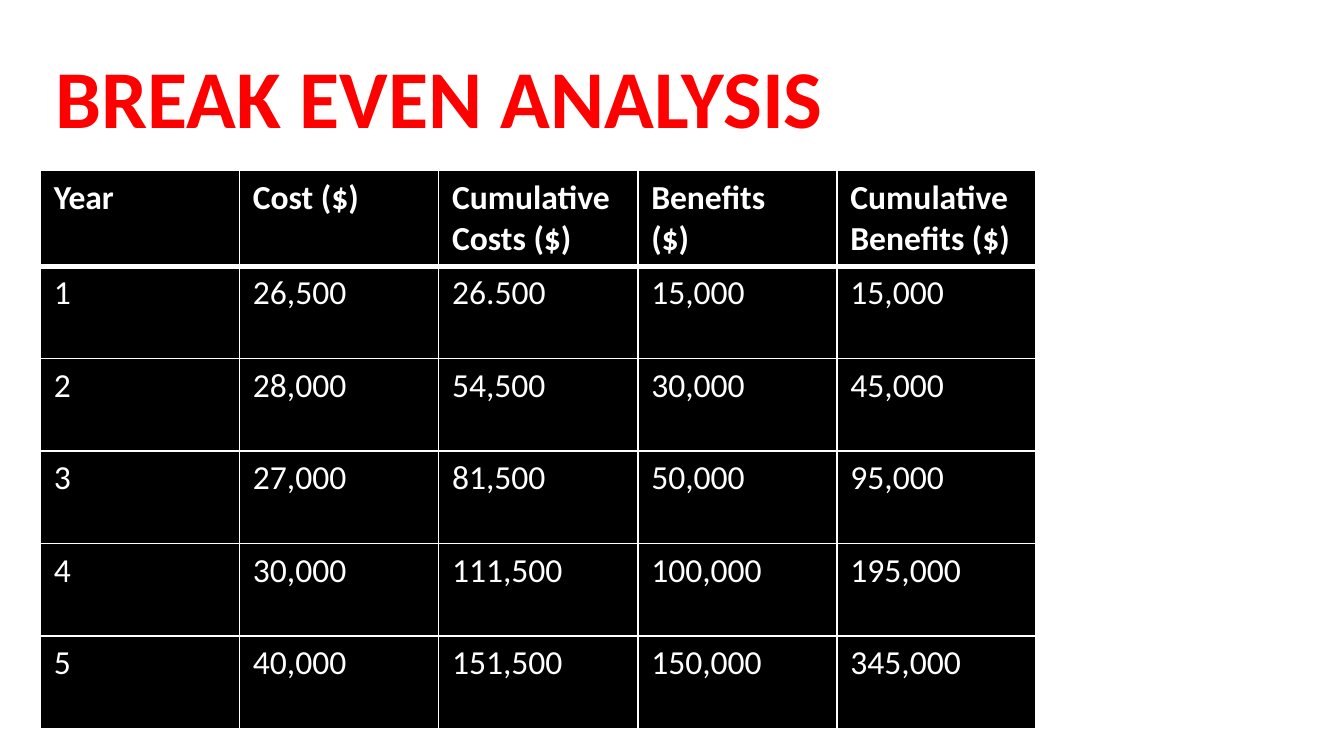
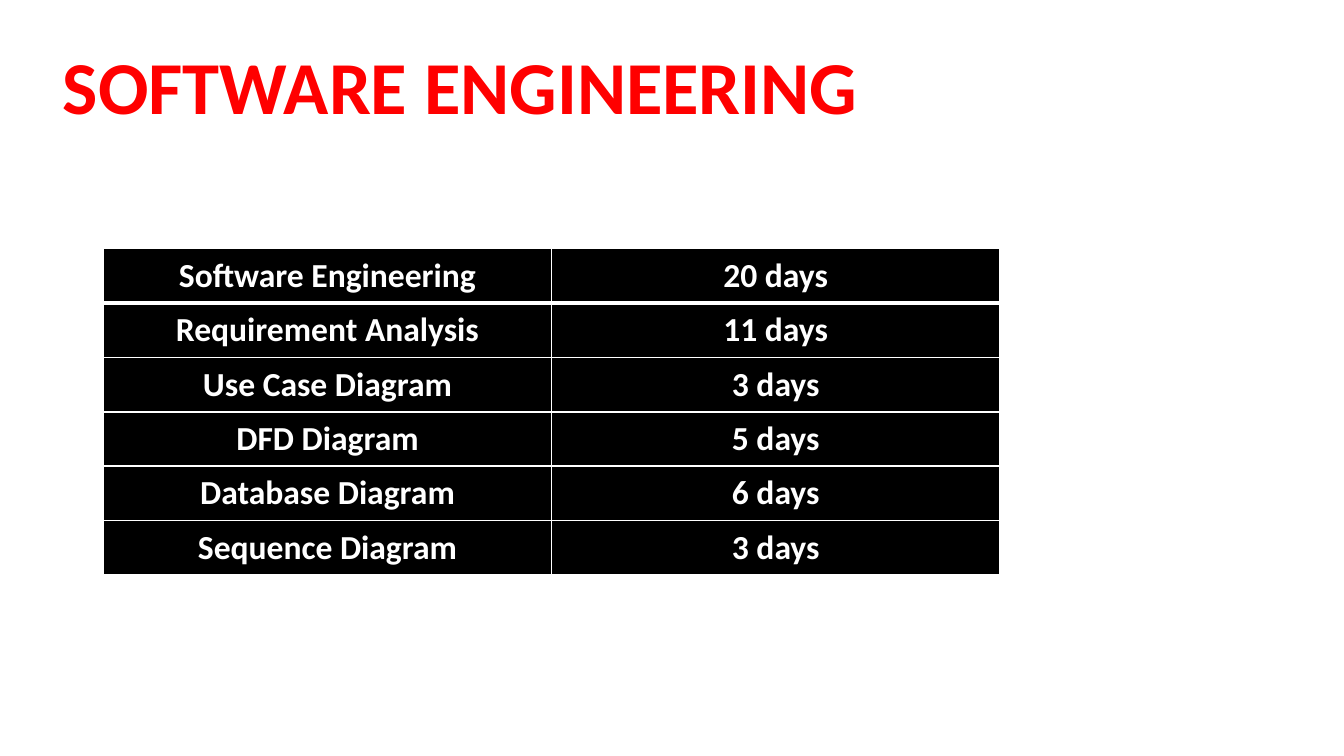
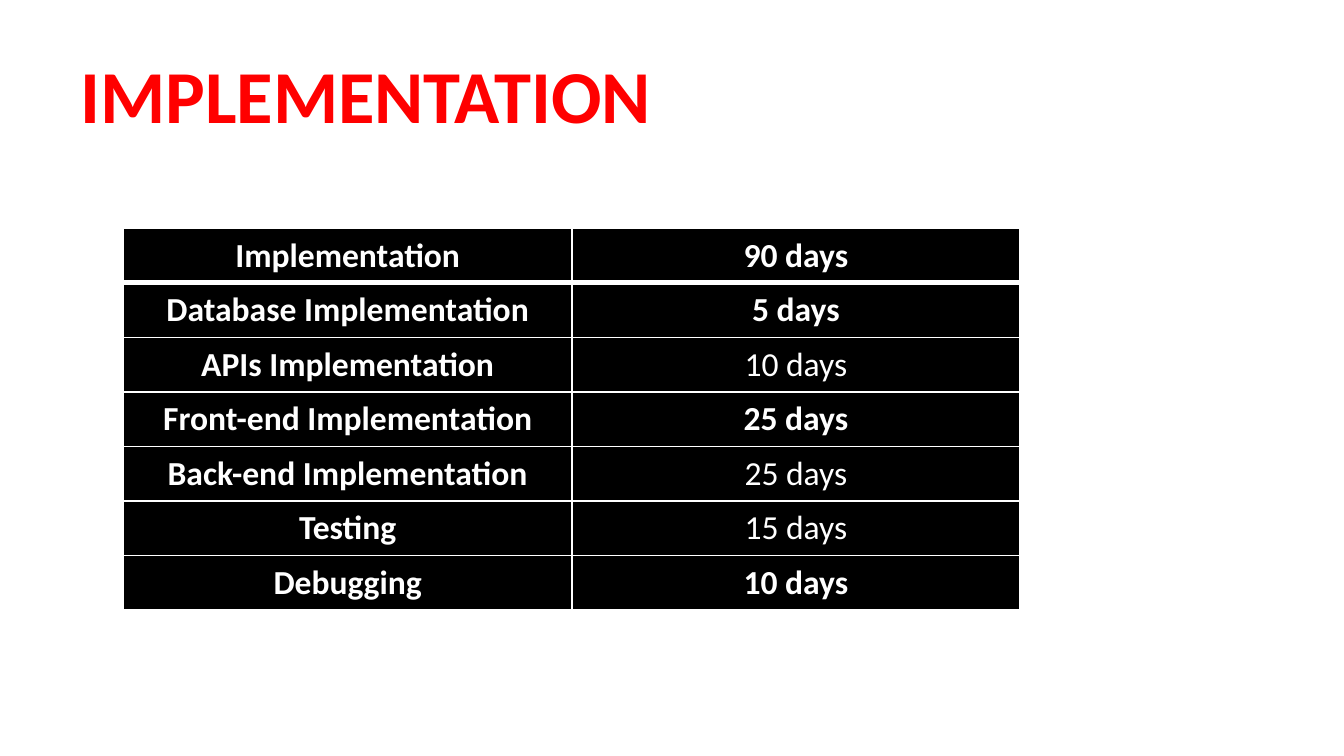
import itertools
from dataclasses import dataclass

import pptx
import pptx.dml.color
import pptx.enum.text
import pptx.oxml.ns
import pptx.slide
import pptx.table
import pptx.util
from lxml import etree

Align = pptx.enum.text.PP_ALIGN
Anchor = pptx.enum.text.MSO_ANCHOR
AutoSize = pptx.enum.text.MSO_AUTO_SIZE

# Shared look
RED = pptx.dml.color.RGBColor(0xFF, 0x00, 0x00)
BLACK = pptx.dml.color.RGBColor(0x00, 0x00, 0x00)
WHITE = pptx.dml.color.RGBColor(0xFF, 0xFF, 0xFF)
TITLE_FORMAT = {"name": "Calibri", "bold": True}
CELL_FORMAT = {"name": "Calibri", "size": pptx.util.Pt(18)}
THIN, THICK = 1, 3  # rule widths in points

SLIDE_WIDTH = pptx.util.Inches(10)
SLIDE_HEIGHT = SLIDE_WIDTH * 9 // 16


@dataclass(frozen=True)
class Area:
    """A rectangle in percent of the slide's width and height."""
    left: float
    top: float
    width: float
    height: float

    def lengths(self) -> tuple[int, int, int, int]:
        return (round(self.left * SLIDE_WIDTH / 100), round(self.top * SLIDE_HEIGHT / 100),
                round(self.width * SLIDE_WIDTH / 100), round(self.height * SLIDE_HEIGHT / 100))


@dataclass(frozen=True)
class Title:
    text: str
    area: Area
    size: int = 40
    align: Align = Align.LEFT
    anchor: Anchor = Anchor.MIDDLE
    auto_size: AutoSize = AutoSize.NONE


@dataclass(frozen=True)
class Schedule:
    rows: list[tuple[str, ...]]
    area: Area
    align: Align = Align.CENTER
    regular: frozenset[tuple[int, int]] = frozenset()  # (row, column) of cells that are not bold


@dataclass(frozen=True)
class Page:
    title: Title
    schedule: Schedule


# Content
BREAK_EVEN = [
    ("Year", "Cost ($)", "Cumulative Costs ($)", "Benefits\n($)", "Cumulative Benefits ($)"),
    ("1", "26,500", "26.500", "15,000", "15,000"),
    ("2", "28,000", "54,500", "30,000", "45,000"),
    ("3", "27,000", "81,500", "50,000", "95,000"),
    ("4", "30,000", "111,500", "100,000", "195,000"),
    ("5", "40,000", "151,500", "150,000", "345,000"),
]
ENGINEERING = [
    ("Software Engineering", "20 days"),
    ("Requirement Analysis", "11 days"),
    ("Use Case Diagram", "3 days"),
    ("DFD Diagram", "5 days"),
    ("Database Diagram", "6 days"),
    ("Sequence Diagram", "3 days"),
]
IMPLEMENTATION = [
    ("Implementation", "90 days"),
    ("Database Implementation", "5 days"),
    ("APIs Implementation", "10 days"),
    ("Front-end Implementation", "25 days"),
    ("Back-end Implementation", "25 days"),
    ("Testing", "15 days"),
    ("Debugging", "10 days"),
]
PAGES = [
    Page(Title("BREAK EVEN ANALYSIS", Area(3, 6.22, 59.4, 12.8), size=44, align=Align.CENTER),
         Schedule(BREAK_EVEN, Area(3, 22.58, 74.1, 73.42), align=Align.LEFT,
                  regular=frozenset(itertools.product(range(1, 6), range(5))))),
    Page(Title("SOFTWARE ENGINEERING", Area(3.7, 4.44, 61.7, 13.69), anchor=Anchor.TOP,
               auto_size=AutoSize.SHAPE_TO_FIT_TEXT),
         Schedule(ENGINEERING, Area(7.7, 32.89, 66.7, 43.2))),
    Page(Title("IMPLEMENTATION", Area(5, 5.33, 71.9, 14.04)),
         Schedule(IMPLEMENTATION, Area(9.2, 30.22, 66.7, 50.49),
                  regular=frozenset({(2, 1), (4, 1), (5, 1)}))),
]


def apply_format(target: object, values: dict[str, object]) -> None:
    for attribute, value in values.items():
        setattr(target, attribute, value)


def draw_title(slide: pptx.slide.Slide, title: Title) -> None:
    frame = slide.shapes.add_textbox(*title.area.lengths()).text_frame
    apply_format(frame, {"text": title.text, "word_wrap": True, "auto_size": title.auto_size,
                         "vertical_anchor": title.anchor})
    heading = frame.paragraphs[0]
    heading.alignment = title.align
    font = heading.runs[0].font
    apply_format(font, TITLE_FORMAT | {"size": pptx.util.Pt(title.size)})
    font.color.rgb = RED


def draw_borders(cell: pptx.table._Cell, row: int) -> None:
    """Rule all four sides, with a thick line between header and body."""
    widths = {"lnL": THIN, "lnR": THIN,
              "lnT": THICK if row == 1 else THIN,
              "lnB": THICK if row == 0 else THIN}
    properties = cell._tc.get_or_add_tcPr()
    qn = pptx.oxml.ns.qn
    for side, width in widths.items():
        line = etree.SubElement(properties, qn(f"a:{side}"), w=str(pptx.util.Pt(width)))
        fill = etree.SubElement(line, qn("a:solidFill"))
        etree.SubElement(fill, qn("a:srgbClr"), val=str(WHITE))


def draw_schedule(slide: pptx.slide.Slide, schedule: Schedule) -> None:
    row_count, column_count = len(schedule.rows), len(schedule.rows[0])
    table = slide.shapes.add_table(row_count, column_count, *schedule.area.lengths()).table
    table.horz_banding = False
    for row, column in itertools.product(range(row_count), range(column_count)):
        cell = table.cell(row, column)
        draw_borders(cell, row)
        cell.fill.solid()
        cell.fill.fore_color.rgb = BLACK
        cell.text_frame.text = schedule.rows[row][column]
        for paragraph in cell.text_frame.paragraphs:
            paragraph.alignment = schedule.align
            font = paragraph.runs[0].font
            apply_format(font, CELL_FORMAT | {"bold": (row, column) not in schedule.regular})
            font.color.rgb = WHITE


def main() -> None:
    deck = pptx.Presentation()
    apply_format(deck, {"slide_width": SLIDE_WIDTH, "slide_height": SLIDE_HEIGHT})
    blank = deck.slide_layouts[6]
    for page in PAGES:
        slide = deck.slides.add_slide(blank)
        draw_title(slide, page.title)
        draw_schedule(slide, page.schedule)
    deck.save("out.pptx")


if __name__ == "__main__":
    main()
